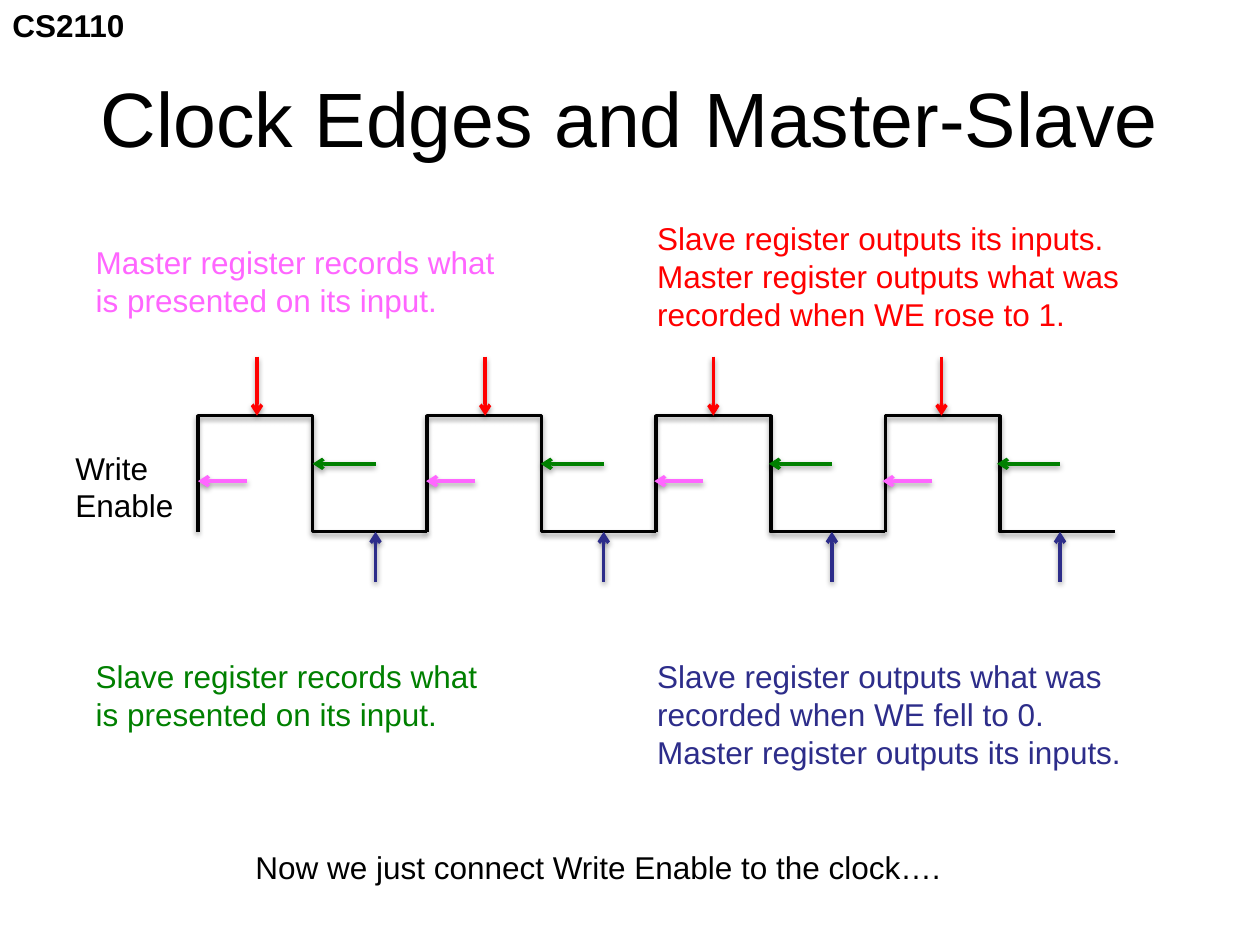
from lxml.etree import SubElement
from pptx import Presentation
from pptx.dml.color import RGBColor
from pptx.enum.shapes import MSO_CONNECTOR as Connector
from pptx.enum.text import MSO_ANCHOR as Anchor, MSO_AUTO_SIZE as AutoSize, PP_ALIGN as Align
from pptx.oxml.ns import qn
from pptx.util import Cm, Pt

BLACK, RED, BLUE, GREEN, PINK = "000000", "FF0000", "2D2D8A", "008000", "FF66FF"

# left, top, width, height in cm; colour; wraps; paragraphs
LABELS = [
    (0, 0, 2.79, 1.02, BLACK, False, ["CS2110"]),
    (1.27, 0.76, 22.86, 3.18, BLACK, True, ["Clock Edges and Master-Slave"]),
    (1.27, 8.92, 2.51, 1.8, BLACK, False, ["Write", "Enable"]),
    (13, 4.29, 11.13, 2.57, RED, True,
     ["Slave register outputs its inputs.",
      "Master register outputs what was recorded when WE rose to 1."]),
    (13, 13.13, 10.26, 2.57, BLUE, True,
     ["Slave register outputs what was recorded when WE fell to 0.",
      "Master register outputs its inputs."]),
    (1.68, 13.13, 8.64, 1.8, GREEN, True,
     ["Slave register records what is presented on its input."]),
    (1.68, 4.78, 8.64, 1.8, PINK, True,
     ["Master register records what is presented on its input."]),
    (4.9, 16.97, 14.48, 1.02, BLACK, False,
     ["Now we just connect Write Enable to the clock…."]),
]
SPECIAL_FONTS = {"CS2110": {"bold": True}, "Clock Edges and Master-Slave": {"size": Pt(44)}}

CYCLES = 4
WAVE_LEFT, WAVE_HIGH, WAVE_LOW, WAVE_PERIOD = 3.99, 8.38, 10.72, 4.62
ARROW_PERIOD = 4.6
# arrows of the first clock cycle: start and tip in cm
ARROWS = [
    (RED, (5.18, 7.19), (5.18, WAVE_HIGH)),
    (BLUE, (7.57, 11.73), (7.57, WAVE_LOW)),
    (GREEN, (7.57, 9.35), (6.3, 9.35)),
    (PINK, (4.98, 9.7), (WAVE_LEFT, 9.7)),
]


def rgb(value):
    return RGBColor.from_string(value)


def add_label(page, left, top, width, height, colour, wraps, paragraphs):
    box = page.shapes.add_textbox(Cm(left), Cm(top), Cm(width), Cm(height))
    frame = box.text_frame
    frame.word_wrap = wraps
    special = SPECIAL_FONTS.get(paragraphs[0], {})
    is_title = "size" in special
    frame.auto_size = AutoSize.NONE if is_title else AutoSize.SHAPE_TO_FIT_TEXT
    if is_title:
        frame.vertical_anchor = Anchor.MIDDLE
    for index, text in enumerate(paragraphs):
        para = frame.add_paragraph() if index else frame.paragraphs[0]
        para.alignment = Align.CENTER if is_title else Align.LEFT
        span = para.add_run()
        span.text = text
        for name, value in ({"name": "Arial", "size": Pt(18)} | special).items():
            setattr(span.font, name, value)
        span.font.color.rgb = rgb(colour)


def style_line(shape, colour, arrow=False):
    """Give a line its colour, width, soft shadow and optional arrowhead."""
    shape.line.color.rgb = rgb(colour)
    shape.line.width = Pt(2)
    properties = shape.element.spPr
    if arrow:
        SubElement(properties.find(qn("a:ln")), qn("a:tailEnd"), type="arrow")
    effects = SubElement(properties, qn("a:effectLst"))
    shadow = SubElement(effects, qn("a:outerShdw"), blurRad="40000", dist="20000",
                        dir="5400000", rotWithShape="0")
    black = SubElement(shadow, qn("a:srgbClr"), val=BLACK)
    SubElement(black, qn("a:alpha"), val="38000")


def add_pulse(page, left):
    middle, right = left + WAVE_PERIOD / 2, left + WAVE_PERIOD
    corners = [(left, WAVE_HIGH), (middle, WAVE_HIGH), (middle, WAVE_LOW), (right, WAVE_LOW)]
    builder = page.shapes.build_freeform(Cm(left), Cm(WAVE_LOW))
    builder.add_line_segments([(Cm(x), Cm(y)) for x, y in corners], close=False)
    pulse = builder.convert_to_shape()
    pulse.fill.background()
    style_line(pulse, BLACK)


def add_arrow(page, colour, start, tip, shift):
    arrow = page.shapes.add_connector(
        Connector.STRAIGHT, Cm(start[0] + shift), Cm(start[1]), Cm(tip[0] + shift), Cm(tip[1]))
    style_line(arrow, colour, arrow=True)


def main():
    deck = Presentation()
    deck.slide_width, deck.slide_height = Cm(25.4), Cm(19.05)
    page = deck.slides.add_slide(deck.slide_layouts[6])
    for cycle in range(CYCLES):
        add_pulse(page, WAVE_LEFT + cycle * WAVE_PERIOD)
    for label in LABELS:
        add_label(page, *label)
    for cycle in range(CYCLES):
        for arrow in ARROWS:
            add_arrow(page, *arrow, shift=cycle * ARROW_PERIOD)
    deck.save("out.pptx")


if __name__ == "__main__":
    main()
